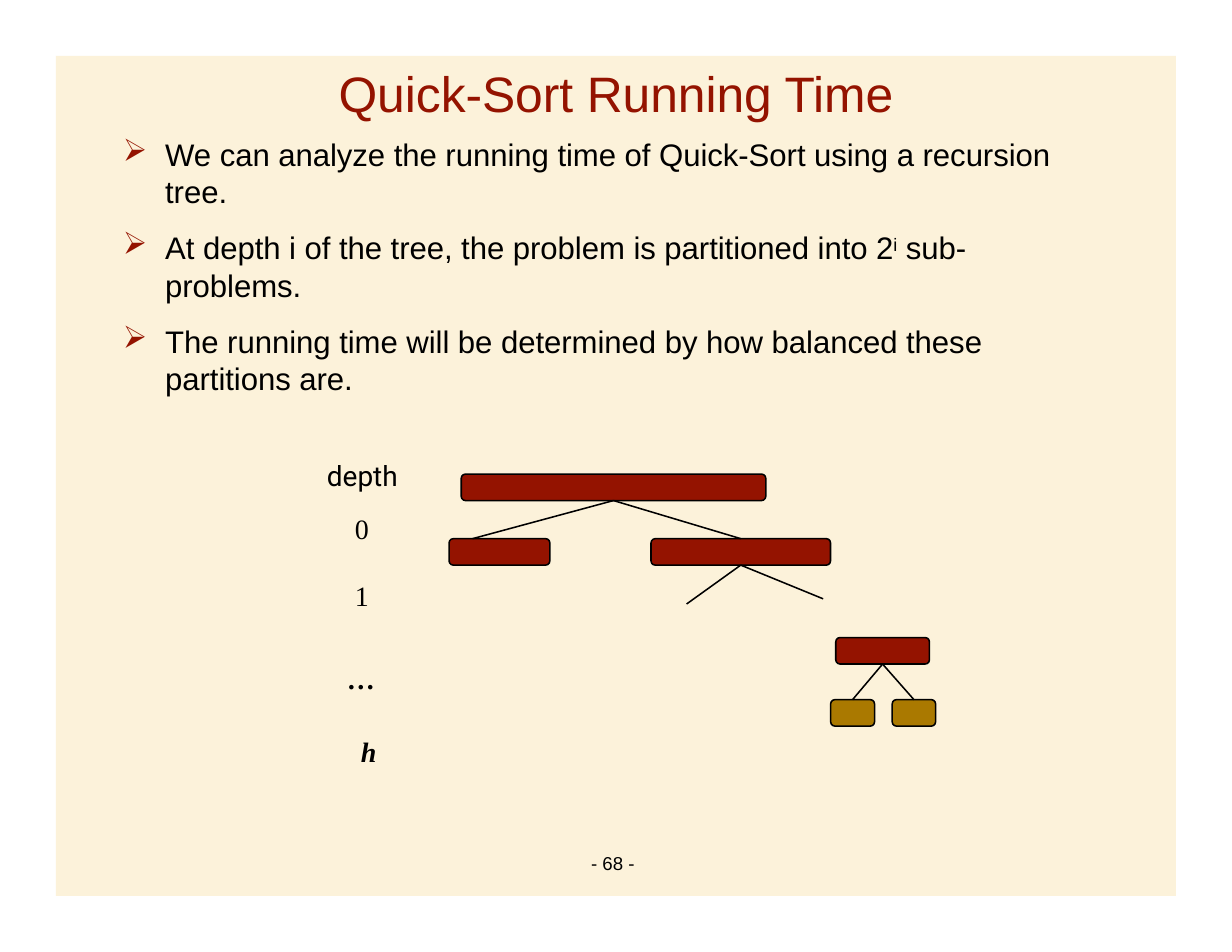
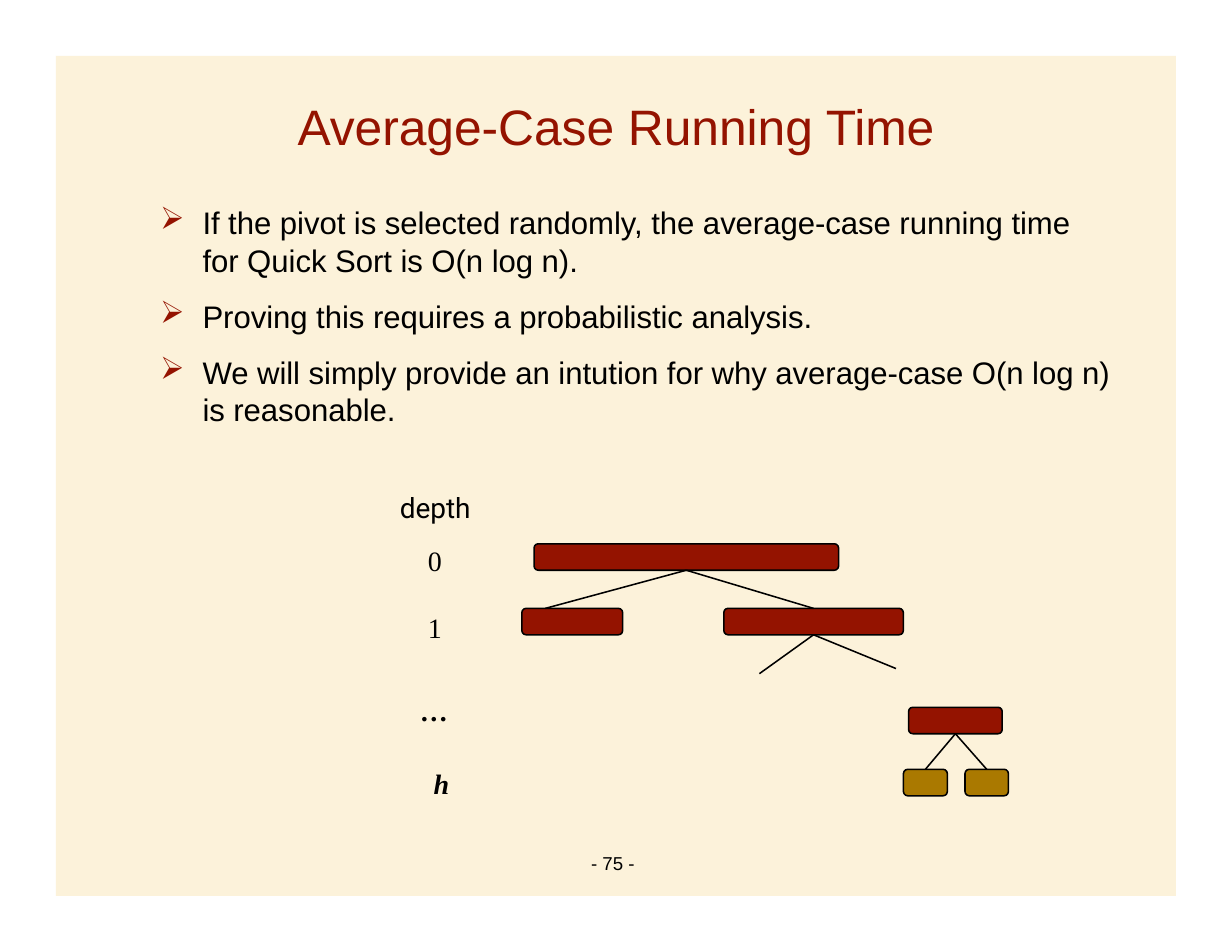
"""Builds two slides on the running time of quick-sort, each with a recursion tree."""
from lxml.etree import SubElement
from pptx import Presentation
from pptx.dml.color import RGBColor
from pptx.enum.shapes import MSO_CONNECTOR, MSO_SHAPE
from pptx.enum.text import MSO_ANCHOR, MSO_AUTO_SIZE, PP_ALIGN
from pptx.oxml.ns import qn
from pptx.util import Pt

PAGE_WIDTH, PAGE_HEIGHT, BAND_MARGIN = 792, 612, 36
COLOURS = {"band": "FCF2DA", "accent": "941300", "leaf": "AA7900", "ink": "000000"}
BULLET_WIDTH, BULLET_INDENT = 612, 27.2
TOP, BOTTOM = 0, 2

PAGES = [
    {
        "title": "Quick-Sort Running Time", "title_top": 40, "title_width": 361,
        "bullets_at": (79, 87), "number": 68,
        "labels_shift": (0, 0), "tree_shift": (0, 0),
        "bullets": [
            ["We can analyze the running time of Quick-Sort using a recursion tree."],
            ["At depth i of the tree, the problem is partitioned into 2", ("i",), " sub-problems."],
            ["The running time will be determined by how balanced these partitions are."],
        ],
    },
    {
        "title": "Average-Case Running Time", "title_top": 61.6, "title_width": 415,
        "bullets_at": (103, 131), "number": 75,
        "labels_shift": (46.8, 20.6), "tree_shift": (46.8, 44.8),
        "bullets": [
            ["If the pivot is selected randomly, the average-case running time for Quick Sort is O(n log n)."],
            ["Proving this requires a probabilistic analysis."],
            ["We will simply provide an intution for why average-case O(n log n) is reasonable."],
        ],
    },
]

LABELS = [
    ("depth", 210.2, 295, "Roboto", False),
    ("0", 228.2, 329, "Times New Roman", False),
    ("1", 228.2, 372, "Times New Roman", False),
    ("…", 223.7, 425, "Times New Roman", True),
    ("h", 232, 472.5, "Times New Roman", True),
]

NODE_HEIGHT = 17
NODES = {
    "root": (296.5, 304.8, 195.8, "accent"),
    "left": (288.7, 346.3, 64.8, "accent"),
    "right": (418.5, 346.3, 115.4, "accent"),
    "deep": (537.3, 409.9, 60.2, "accent"),
    "leaf one": (534, 449.8, 28.2, "leaf"),
    "leaf two": (573.6, 449.8, 27.9, "leaf"),
}
BRANCHES = [
    ("root", (303.8, 346.3)), ("root", "right"),
    ("right", (441.4, 388.3)), ("right", (529.2, 385)),
    ("deep", "leaf one"), ("deep", "leaf two"),
]


def colour(name):
    return RGBColor.from_string(COLOURS[name])


def clear_frame(frame, wrap):
    frame.margin_left = frame.margin_right = frame.margin_top = frame.margin_bottom = 0
    frame.vertical_anchor = MSO_ANCHOR.TOP
    frame.auto_size = MSO_AUTO_SIZE.NONE
    frame.word_wrap = wrap


def style(para, size, name="Arial", ink="ink", tight=False):
    font = para.font
    font.size, font.name = Pt(size), name
    font.color.rgb = colour(ink)
    if tight:
        para._p.pPr.find(qn("a:defRPr")).set("spc", "-5")
    return font


def add_box(page, left, top, width, height, wrap=False):
    box = page.shapes.add_textbox(Pt(left), Pt(top), Pt(width), Pt(height))
    clear_frame(box.text_frame, wrap)
    return box.text_frame


def add_band(page, layout):
    band = page.shapes.add_shape(
        MSO_SHAPE.RECTANGLE, Pt(BAND_MARGIN), Pt(BAND_MARGIN),
        Pt(PAGE_WIDTH - 2 * BAND_MARGIN), Pt(PAGE_HEIGHT - 2 * BAND_MARGIN))
    band.shadow.inherit = False
    band.fill.solid()
    band.fill.fore_color.rgb = colour("band")
    band.line.fill.background()
    band._element.nvSpPr.cNvPr.set("id", "90")
    layout.shapes._spTree.insert(2, band._element)


def set_title(page, text, top, width):
    title = page.shapes.title
    title.left, title.top = Pt((PAGE_WIDTH - width) / 2), Pt(top)
    title.width, title.height = Pt(width), Pt(40)
    title.text_frame.text = text
    clear_frame(title.text_frame, False)
    para = title.text_frame.paragraphs[0]
    para.alignment = PP_ALIGN.CENTER
    style(para, 32, ink="accent", tight=True)


def add_bullets(page, bullets, left, top):
    frame = add_box(page, left, top, BULLET_WIDTH, 170, wrap=True)
    for index, parts in enumerate(bullets):
        para = frame.add_paragraph() if index else frame.paragraphs[0]
        para.line_spacing = Pt(24)
        if index:
            para.space_before = Pt(12)
        properties = para._p.get_or_add_pPr()
        properties.set("marL", str(Pt(BULLET_INDENT)))
        properties.set("indent", str(-Pt(BULLET_INDENT)))
        bullet_colour = SubElement(properties, qn("a:buClr"))
        SubElement(bullet_colour, qn("a:srgbClr")).set("val", COLOURS["accent"])
        SubElement(properties, qn("a:buChar")).set("char", "➢")
        style(para, 20, tight=True)
        for part in parts:
            span = para.add_run()
            raised = isinstance(part, tuple)
            span.text = part[0] if raised else part
            if raised:
                span._r.get_or_add_rPr().set("baseline", "26000")


def add_labels(page, shift_x, shift_y):
    for text, left, top, font_name, strong in LABELS:
        frame = add_box(page, left + shift_x, top + shift_y, 48, 22)
        frame.text = text
        font = style(frame.paragraphs[0], 18, font_name)
        font.bold = font.italic = strong


def add_tree(page, shift_x, shift_y):
    nodes = {}
    for name, (left, top, width, fill) in NODES.items():
        node = page.shapes.add_shape(
            MSO_SHAPE.ROUNDED_RECTANGLE, Pt(left + shift_x), Pt(top + shift_y),
            Pt(width), Pt(NODE_HEIGHT))
        node.adjustments[0] = 0.16
        node.shadow.inherit = False
        node.fill.solid()
        node.fill.fore_color.rgb = colour(fill)
        node.line.color.rgb = colour("ink")
        node.line.width = Pt(1)
        nodes[name] = node
    for parent, child in BRANCHES:
        branch = page.shapes.add_connector(MSO_CONNECTOR.STRAIGHT, 0, 0, 0, 0)
        branch.begin_connect(nodes[parent], BOTTOM)
        if child in nodes:
            branch.end_connect(nodes[child], TOP)
        else:
            branch.end_x, branch.end_y = Pt(child[0] + shift_x), Pt(child[1] + shift_y)
        branch.line.color.rgb = colour("ink")
        branch.line.width = Pt(1)
        SubElement(branch._element.spPr, qn("a:effectLst"))


def add_page_number(page, number):
    frame = add_box(page, 380, 547.5, 37, 15)
    frame.text = f"- {number} -"
    frame.paragraphs[0].alignment = PP_ALIGN.LEFT
    style(frame.paragraphs[0], 12)


def main():
    deck = Presentation()
    deck.slide_width, deck.slide_height = Pt(PAGE_WIDTH), Pt(PAGE_HEIGHT)
    layout = deck.slide_layouts[5]
    for index, content in enumerate(PAGES):
        page = deck.slides.add_slide(layout)
        if index == 0:
            add_band(page, layout)
        set_title(page, content["title"], content["title_top"], content["title_width"])
        add_bullets(page, content["bullets"], *content["bullets_at"])
        add_labels(page, *content["labels_shift"])
        add_tree(page, *content["tree_shift"])
        add_page_number(page, content["number"])
    deck.save("out.pptx")


if __name__ == "__main__":
    main()
